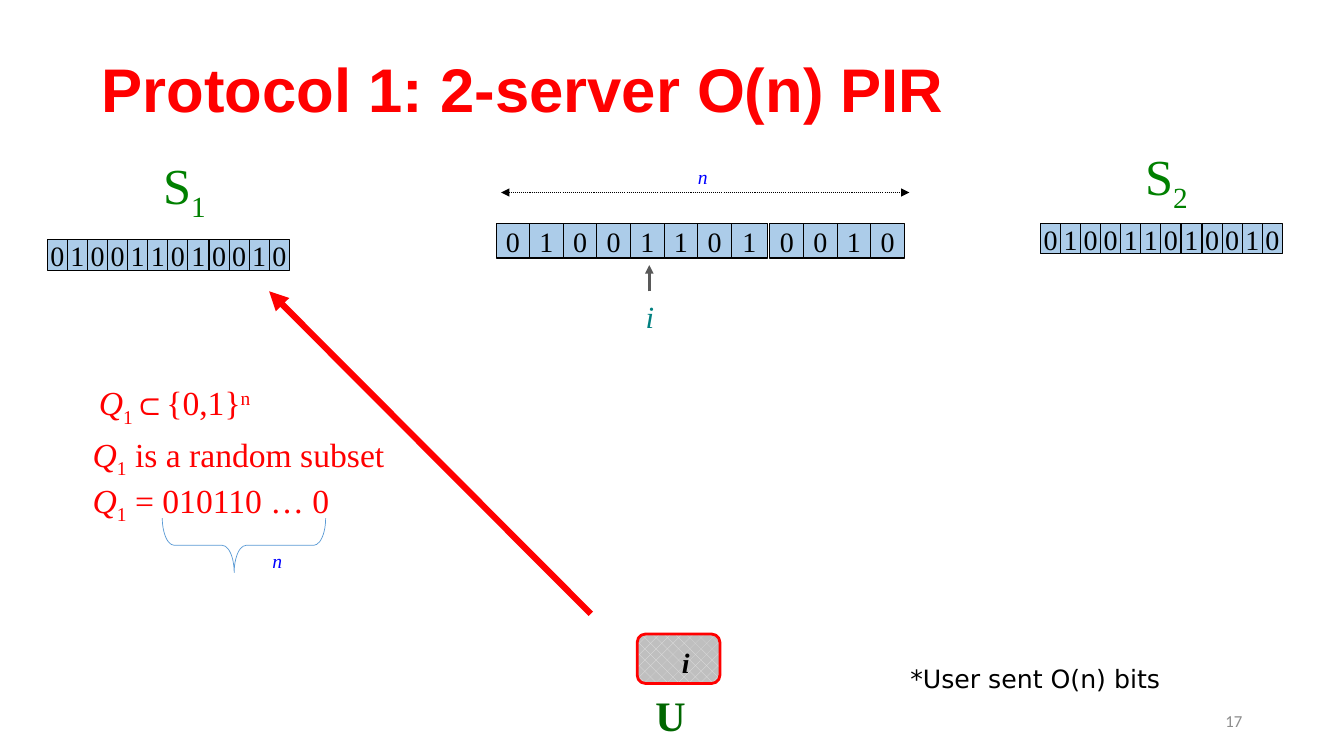
from lxml import etree
from pptx import Presentation
from pptx.dml.color import RGBColor
from pptx.enum import dml, shapes, text
from pptx.oxml.ns import qn

PX = 9144  # 100 px to the inch
PT = 12700
RED = RGBColor(0xFF, 0x00, 0x00)
GREEN = RGBColor(0x00, 0x80, 0x00)
DARK = RGBColor(0x00, 0x66, 0x00)
TEAL = RGBColor(0x00, 0x80, 0x80)
BLUE = RGBColor(0x00, 0x00, 0xFF)
SKY = RGBColor(0x5B, 0x9B, 0xD5)
BLACK = RGBColor(0x00, 0x00, 0x00)
SLATE = RGBColor(0x59, 0x59, 0x59)
GRAY = RGBColor(0x8C, 0x8C, 0x8C)
PALE = RGBColor(0xE5, 0xE5, 0xE5)
SILVER = RGBColor(0xBF, 0xBF, 0xBF)
SERIF = "Times New Roman"
LEFT, MID, RIGHT = text.PP_ALIGN.LEFT, text.PP_ALIGN.CENTER, text.PP_ALIGN.RIGHT
BITS = "010011010010"
SPLIT = 8  # the bits after this one stand a little apart


def emu(*vals):
    return [round(v * PX) for v in vals]


def style(run, size, color, face=SERIF, bold=False, ital=False):
    font = run.font
    font.size, font.name = size * PT, face
    font.bold, font.italic = bold, ital
    font.color.rgb = color


def label(slide, box, runs, size, color, align=LEFT, face=SERIF, inset=6, bold=False):
    """Add a text box; each run is (words, italic, baseline in percent)."""
    shape = slide.shapes.add_textbox(*emu(*box))
    frame = shape.text_frame
    frame.word_wrap = True
    if inset:
        frame.margin_left = frame.margin_right = inset * PX
        frame.margin_top = frame.margin_bottom = inset * PX
    par = frame.paragraphs[0]
    par.alignment = align
    for words, ital, base in runs:
        run = par.add_run()
        run.text = words
        style(run, size, color, face, bold, ital)
        if base:
            run._r.get_or_add_rPr().set("baseline", str(base * 1000))
    return frame


def outline(shape, color, width):
    shape.shadow.inherit = False
    shape.line.color.rgb = color
    shape.line.width = round(width * PT)


def arrow(slide, ends, color, width, both=False):
    line = slide.shapes.add_connector(shapes.MSO_CONNECTOR.STRAIGHT, *emu(*ends))
    line.line.color.rgb = color
    line.line.width = round(width * PT)
    if both:
        line.line.dash_style = dml.MSO_LINE.ROUND_DOT
    props = line.element.spPr
    ln = props.find(qn("a:ln"))
    for tip in ("a:headEnd", "a:tailEnd") if both else ("a:tailEnd",):
        etree.SubElement(ln, qn(tip)).set("type", "triangle")
    etree.SubElement(props, qn("a:effectLst"))


def bitrow(parts, box, gap):
    """Fill the box with one cell per bit, set apart by gap at the split."""
    left, top, wide, high = box
    step = (wide - gap) / len(BITS)
    for n, bit in enumerate(BITS):
        x = left + n * step + (gap if n >= SPLIT else 0)
        w = step + (gap / 2 if n == SPLIT - 1 else 0)
        cell = parts.add_shape(shapes.MSO_SHAPE.RECTANGLE, *emu(x, top, w, high))
        outline(cell, BLACK, 0.75)
        cell.fill.solid()
        cell.fill.fore_color.rgb = SKY
        tint = cell.element.spPr.find(qn("a:solidFill"))[0]
        etree.SubElement(tint, qn("a:alpha")).set("val", "50000")
        frame = cell.text_frame
        frame.word_wrap = False
        frame.vertical_anchor = text.MSO_ANCHOR.MIDDLE
        frame.text = bit
        frame.paragraphs[0].alignment = MID
        style(frame.paragraphs[0].runs[0], 20, BLACK)


def heading(slide, box):
    title = slide.shapes.title
    title.left, title.top, title.width, title.height = emu(*box)
    frame = title.text_frame
    frame.text = "Protocol 1: 2-server O(n) PIR"
    frame.vertical_anchor = text.MSO_ANCHOR.MIDDLE
    par = frame.paragraphs[0]
    par.alignment, par.line_spacing = LEFT, 0.9
    style(par.runs[0], 44, RED, "Arial", bold=True)


def server(slide, num, name, row):
    label(slide, name, [("S", False, 0), (num, False, -25)], 36, GREEN, RIGHT)
    bitrow(slide.shapes.add_group_shape().shapes, row, 1)


def data(slide, box):
    """The n bits, their length above and the index i below."""
    left, top, wide, high = box
    bitrow(slide.shapes, box, 5)
    arrow(slide, (left + 5, top - 31, left + wide + 5, top - 31), BLACK, 0.75, both=True)
    label(slide, (left + 157, top - 64, 96, 33), [("n", True, 0)], 14, BLUE, MID)
    x, y = left + 152, top + high + 33
    arrow(slide, (x, y, x, y - 26), SLATE, 2)
    label(slide, (x - 21, y, 43, 43), [("i", True, 0)], 22, TEAL, MID)


def user(slide, box):
    left, top, wide, high = box
    card = slide.shapes.add_shape(shapes.MSO_SHAPE.ROUNDED_RECTANGLE, *emu(*box))
    outline(card, RED, 2)
    card.fill.patterned()
    card.fill.pattern = dml.MSO_PATTERN.PERCENT_25
    card.fill.fore_color.rgb = PALE
    card.fill.back_color.rgb = SILVER
    label(slide, (left + 12, top + 5, 72, high), [("i", True, 0)], 20, BLACK, MID, bold=True)
    label(slide, (left - 23, top + high, 77, 51), [("U", False, 0)], 30, DARK, RIGHT, bold=True)


def query(slide, left, top):
    """Three lines on the query, with a brace under its bits."""
    lines = [
        (6, 0, 203, [("⊂{0,1}", False, 0), ("n", False, 30)]),
        (0, 51, 306, [(" is a random subset", False, 0)]),
        (0, 97, 306, [(" = 010110 … 0", False, 0)]),
    ]
    for dx, dy, wide, tail in lines:
        runs = [("Q", True, 0), ("1", False, -25)] + tail
        label(slide, (left + dx, top + dy, wide, 48), runs, 24, RED)
    brace = slide.shapes.add_shape(
        shapes.MSO_SHAPE.LEFT_BRACE, *emu(left + 129, top + 87, 54, 162))
    brace.rotation = 270
    brace.adjustments[0], brace.adjustments[1] = 0.22, 0.44
    brace.fill.background()
    outline(brace, SKY, 0.5)
    label(slide, (left + 141, top + 166, 96, 33), [("n", True, 0)], 14, BLUE, MID)


def footer(slide):
    note = label(slide, (893, 653, 277, 40), [("*User sent O(n) bits", False, 0)],
                 18, BLACK, face="DejaVu Sans", inset=0)
    note.word_wrap = False
    note.auto_size = text.MSO_AUTO_SIZE.SHAPE_TO_FIT_TEXT
    page = label(slide, (942, 695, 300, 40), [("17", False, 0)],
                 12, GRAY, RIGHT, "Calibri", inset=0)
    page.vertical_anchor = text.MSO_ANCHOR.MIDDLE


def main():
    prs = Presentation()
    prs.slide_width, prs.slide_height = emu(1333, 750)
    slide = prs.slides.add_slide(prs.slide_layouts[5])
    heading(slide, (91, 19, 1150, 145))
    server(slide, "1", (71, 147, 139, 65), (47, 238, 240, 30))
    server(slide, "2", (1045, 138, 139, 65), (1032, 222, 240, 30))
    data(slide, (492, 222, 405, 34))
    user(slide, (632, 629, 82, 49))
    arrow(slide, (586, 609, 267, 289), RED, 4.5)
    query(slide, 86, 373)
    footer(slide)
    prs.save("out.pptx")


if __name__ == "__main__":
    main()
